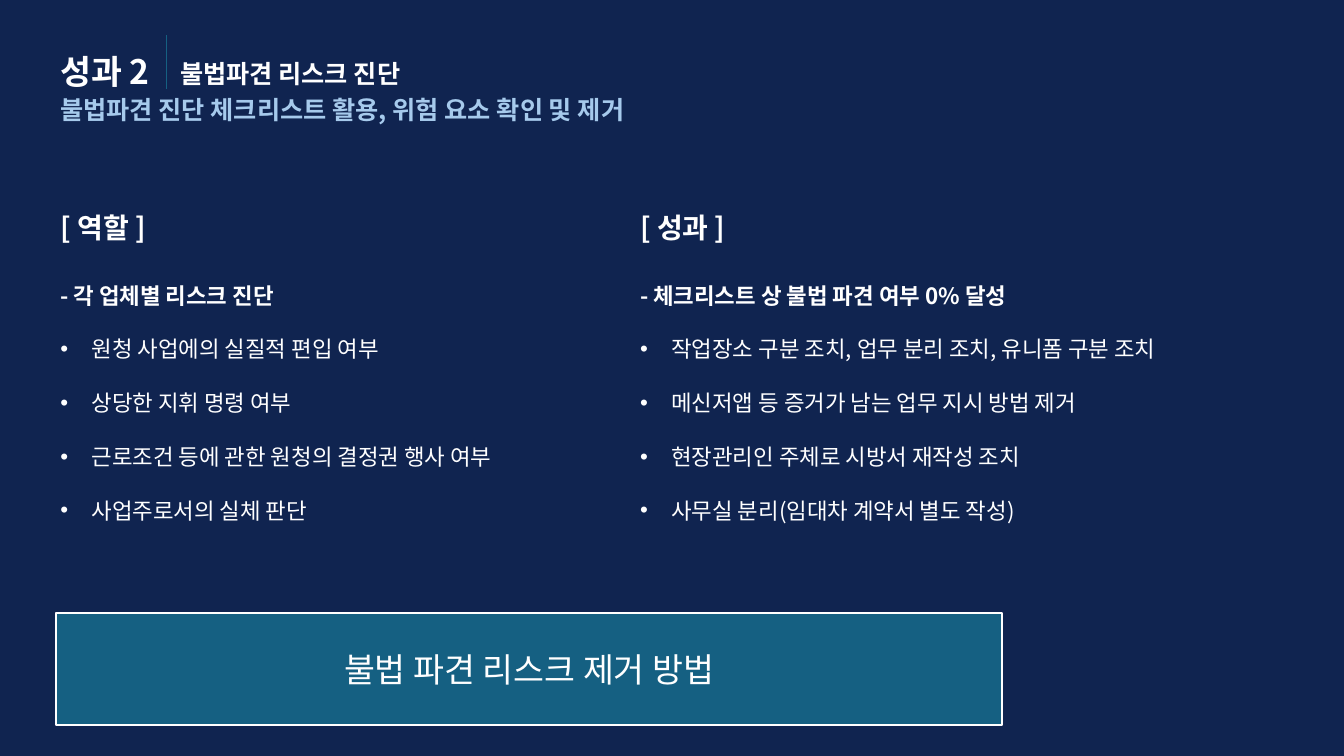
import pptx
import pptx.dml.color
import pptx.enum.shapes
import pptx.enum.text
import pptx.oxml
import pptx.oxml.ns
import pptx.util
from pptx.util import Cm

FONT = "Noto Sans CJK KR"
NAVY, TEAL, WHITE, SKY = "102450", "156082", "FFFFFF", "A6CAEC"
LEFT = 1.27
INDENT = Cm(0.79)

ROLE = (
    "- 각 업체별 리스크 진단",
    ["원청 사업에의 실질적 편입 여부",
     "상당한 지휘 명령 여부",
     "근로조건 등에 관한 원청의 결정권 행사 여부",
     "사업주로서의 실체 판단"],
)
RESULT = (
    "- 체크리스트 상 불법 파견 여부 0% 달성",
    ["작업장소 구분 조치, 업무 분리 조치, 유니폼 구분 조치",
     "메신저앱 등 증거가 남는 업무 지시 방법 제거",
     "현장관리인 주체로 시방서 재작성 조치",
     "사무실 분리(임대차 계약서 별도 작성)"],
)


def color(value):
    return pptx.dml.color.RGBColor.from_string(value)


def add_element(parent, tag, **attributes):
    element = pptx.oxml.parse_xml(f"<a:{tag} {pptx.oxml.ns.nsdecls('a')}/>")
    for name, value in attributes.items():
        element.set(name, str(value))
    parent.append(element)


def add_span(para, text, size, fill=WHITE, bold=False):
    span = para.add_run()
    span.text = text
    span.font.size = pptx.util.Pt(size)
    span.font.bold = bold
    span.font.color.rgb = color(fill)
    span.font.name = FONT
    add_element(span.font._element, "ea", typeface=FONT)


def add_box(shapes, left, top, width, height):
    box = shapes.add_textbox(Cm(left), Cm(top), Cm(width), Cm(height))
    box.text_frame.word_wrap = True
    return box.text_frame


def add_label(shapes, place, text, size, fill=WHITE, spacing=1.0):
    para = add_box(shapes, *place).paragraphs[0]
    para.line_spacing = spacing
    add_span(para, text, size, fill, bold=True)


def add_bullet(frame, text):
    para = frame.add_paragraph()
    para.line_spacing = 2.0
    properties = para._p.get_or_add_pPr()
    properties.set("marL", str(INDENT))
    properties.set("indent", str(-INDENT))
    add_element(properties, "buFont", typeface="Arial")
    add_element(properties, "buChar", char="•")
    add_span(para, text, 16)


def add_column(page, left, width, heading, content):
    shapes = page.shapes.add_group_shape().shapes
    add_label(shapes, (left, 5.18, 5.56, 1.12), heading, 20)
    summary, points = content
    frame = add_box(shapes, left, 6.3, width, 6.88)
    frame.paragraphs[0].line_spacing = 2.0
    add_span(frame.paragraphs[0], summary, 16, bold=True)
    for point in points:
        add_bullet(frame, point)


def add_divider(page, x, top, bottom):
    line = page.shapes.add_connector(
        pptx.enum.shapes.MSO_CONNECTOR.STRAIGHT, Cm(x), Cm(top), Cm(x), Cm(bottom))
    line.line.color.rgb = color(TEAL)
    line.line.width = pptx.util.Pt(0.25)
    add_element(line._element.spPr, "effectLst")


def add_banner(page, place, text):
    banner = page.shapes.add_shape(
        pptx.enum.shapes.MSO_SHAPE.RECTANGLE, *(Cm(length) for length in place))
    banner.shadow.inherit = False
    banner.fill.solid()
    banner.fill.fore_color.rgb = color(TEAL)
    banner.line.color.rgb = color(WHITE)
    banner.line.width = pptx.util.Pt(1.5)
    banner.text_frame.vertical_anchor = pptx.enum.text.MSO_ANCHOR.MIDDLE
    para = banner.text_frame.paragraphs[0]
    para.alignment = pptx.enum.text.PP_ALIGN.CENTER
    add_span(para, text, 24)


def main():
    deck = pptx.Presentation()
    deck.slide_width, deck.slide_height = Cm(33.87), Cm(19.05)
    page = deck.slides.add_slide(deck.slide_layouts[6])
    page.background.fill.solid()
    page.background.fill.fore_color.rgb = color(NAVY)

    # Title line and subtitle
    add_label(page.shapes, (LEFT, 0.64, 3.58, 1.6), "성과 2", 24, spacing=1.5)
    add_divider(page, 4.19, 0.89, 2.24)
    add_label(page.shapes, (4.29, 0.97, 9.22, 1.27), "불법파견 리스크 진단", 18, spacing=1.5)
    add_label(page.shapes, (LEFT, 2.24, 20.75, 1.02),
              "불법파견 진단 체크리스트 활용, 위험 요소 확인 및 제거", 18, SKY)

    # Two columns
    add_column(page, LEFT, 12.7, "[ 역할 ]", ROLE)
    add_column(page, 15.88, 15.14, "[ 성과 ]", RESULT)

    # Closing banner
    add_banner(page, (1.42, 15.44, 23.83, 2.82), "불법 파견 리스크 제거 방법")

    deck.save("out.pptx")


if __name__ == "__main__":
    main()
